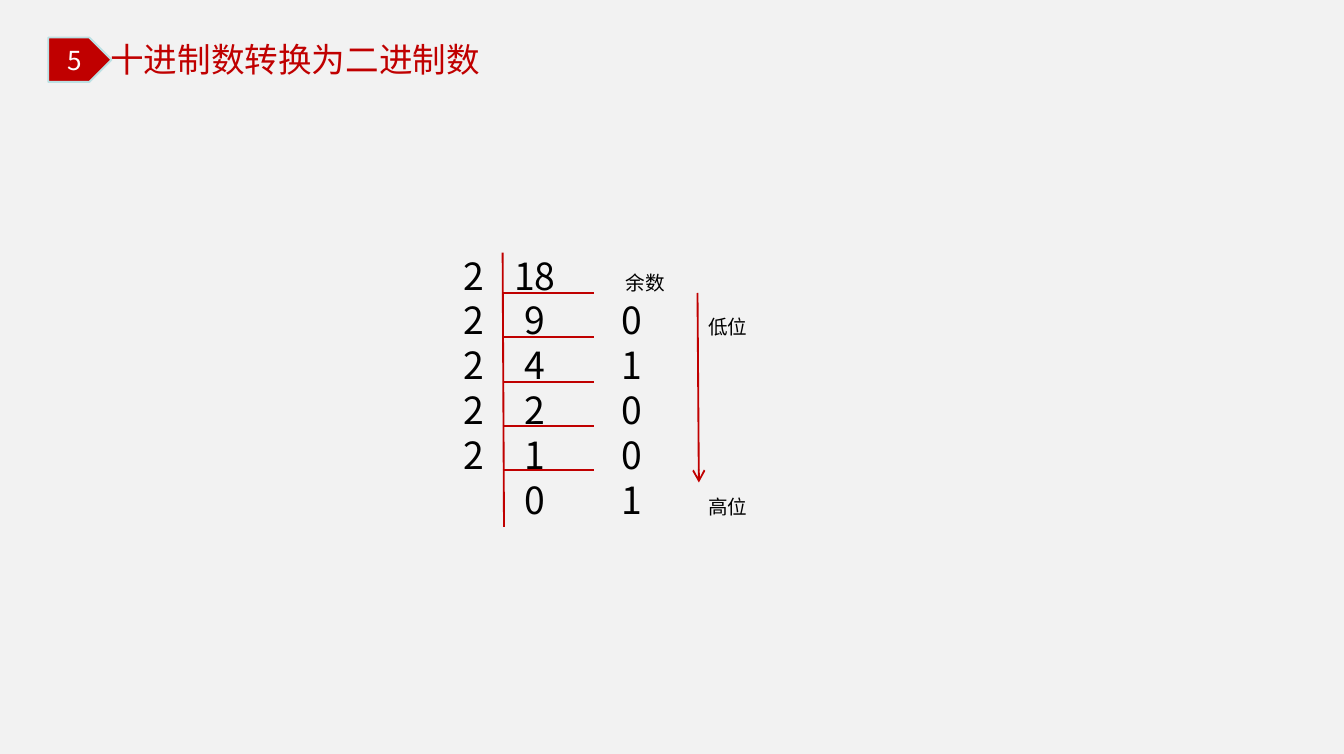
from pptx import Presentation
from pptx.dml.color import RGBColor
from pptx.enum.shapes import MSO_CONNECTOR as Connector, MSO_SHAPE as Shape
from pptx.enum.text import MSO_ANCHOR as Anchor, MSO_AUTO_SIZE as AutoSize, PP_ALIGN as Align
from pptx.oxml.ns import qn
from pptx.util import Inches, Pt
from lxml.etree import SubElement

FONT = "Noto Sans CJK SC"
COLORS = {name: RGBColor.from_string(value) for name, value in {
    "background": "F2F2F2", "red": "C00000", "edge": "BBE0E3",
    "black": "000000", "white": "FFFFFF"}.items()}

# The division ladder: a column for each kind of number, rows of equal height
ROW = 0.33
LADDER_LEFT, LADDER_TOP = 3.45, 1.88
QUOTIENT, REMAINDER, PLACE = 0.53, 1.25, 1.82
HEADING = 1.35

# divisor, quotient, remainder, place label
STEPS = [
    ("2", "18", "余数", ""),
    ("2", "9", "0", "低位"),
    ("2", "4", "1", ""),
    ("2", "2", "0", ""),
    ("2", "1", "0", ""),
    ("", "0", "1", "高位"),
]


def set_font(font, size, color):
    """Set size, colour and both the Latin and East Asian typeface."""
    font.size, font.name = Pt(size), FONT
    font.color.rgb = COLORS[color]
    SubElement(font._element, qn("a:ea"), typeface=FONT)


def add_line(x1, y1, x2, y2):
    line = slide.shapes.add_connector(
        Connector.STRAIGHT, Inches(x1), Inches(y1), Inches(x2), Inches(y2))
    line.line.color.rgb = COLORS["red"]
    line.line.width = Pt(1)
    SubElement(line._element.spPr, qn("a:effectLst"))
    return line


presentation = Presentation()
presentation.slide_width, presentation.slide_height = Inches(10), Inches(5.61)
slide = presentation.slides.add_slide(presentation.slide_layouts[5])
slide.background.fill.solid()
slide.background.fill.fore_color.rgb = COLORS["background"]

# Title
title = slide.shapes.title
title.left, title.top, title.width, title.height = map(Inches, (0.82, 0.29, 2.85, 0.3))
frame = title.text_frame
frame.margin_left = frame.margin_right = frame.margin_top = frame.margin_bottom = 0
frame.auto_size = AutoSize.NONE
frame.vertical_anchor = Anchor.MIDDLE
frame.text = "十进制数转换为二进制数"
frame.paragraphs[0].alignment = Align.LEFT
set_font(frame.paragraphs[0].font, 18, "red")

# Section number
badge = slide.shapes.add_shape(
    Shape.PENTAGON, Inches(0.36), Inches(0.28), Inches(0.47), Inches(0.33))
badge.shadow.inherit = False
badge.fill.solid()
badge.fill.fore_color.rgb = COLORS["red"]
badge.line.color.rgb = COLORS["edge"]
badge.line.width = Pt(1)
frame = badge.text_frame
frame.margin_left = frame.margin_right = frame.margin_top = frame.margin_bottom = Inches(0.05)
frame.vertical_anchor = Anchor.MIDDLE
frame.text = "5"
frame.paragraphs[0].alignment = Align.CENTER
set_font(frame.paragraphs[0].font, 14, "white")

# Division steps, aligned with tab stops
ladder = slide.shapes.add_textbox(
    Inches(LADDER_LEFT), Inches(LADDER_TOP), Inches(4.4), Inches(len(STEPS) * ROW))
frame = ladder.text_frame
frame.word_wrap = True
frame.margin_left = frame.margin_right = frame.margin_top = frame.margin_bottom = 0
for index, (divisor, quotient, remainder, place) in enumerate(STEPS):
    paragraph = frame.paragraphs[0] if index == 0 else frame.add_paragraph()
    paragraph.line_spacing = Pt(24)
    tabs = SubElement(paragraph._p.get_or_add_pPr(), qn("a:tabLst"))
    remainder_stop = REMAINDER if remainder.isdigit() else HEADING
    for stop, align in ((QUOTIENT, "ctr"), (remainder_stop, "ctr"), (PLACE, "l")):
        SubElement(tabs, qn("a:tab"), pos=str(Inches(stop)), algn=align)
    set_font(paragraph.font, 20, "black")
    paragraph.add_run().text = f"{divisor}\t{quotient}\t"
    remainder_run = paragraph.add_run()
    remainder_run.text = remainder
    if not remainder.isdigit():
        remainder_run.font.size = Pt(10.5)
    if place:
        place_run = paragraph.add_run()
        place_run.text = f"\t{place}"
        place_run.font.size = Pt(10.5)

# Ladder rules: one upright and one under each divided number
add_line(3.74, 1.88, 3.75, 3.92)
for step in range(len(STEPS) - 1):
    y = 2.18 + step * ROW
    add_line(3.74, y, 4.42, y)

# Reading direction from low to high place
arrow = add_line(5.19, 2.18, 5.2, 3.59)
SubElement(arrow.line._get_or_add_ln(), qn("a:tailEnd"), type="arrow")

presentation.save("out.pptx")
